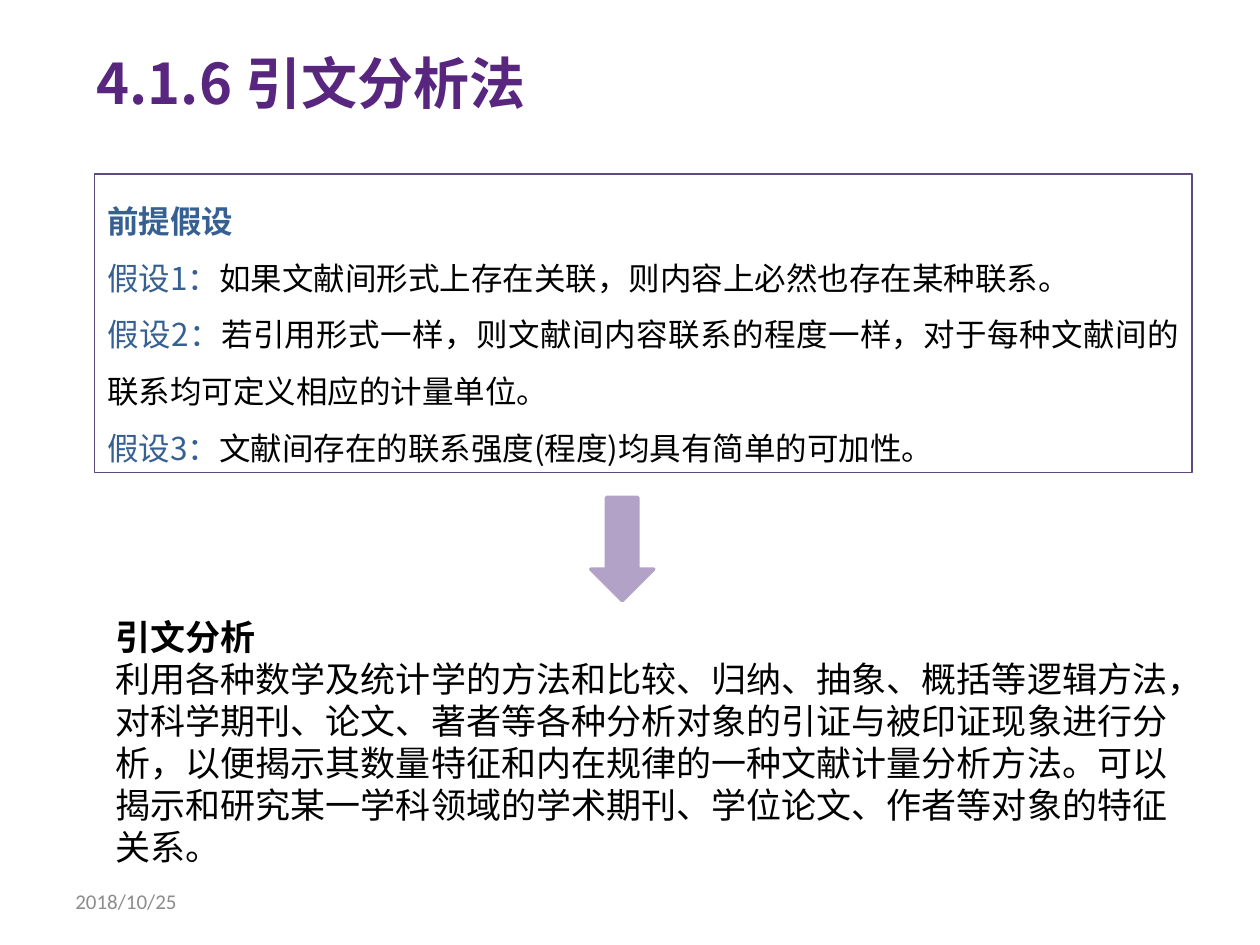
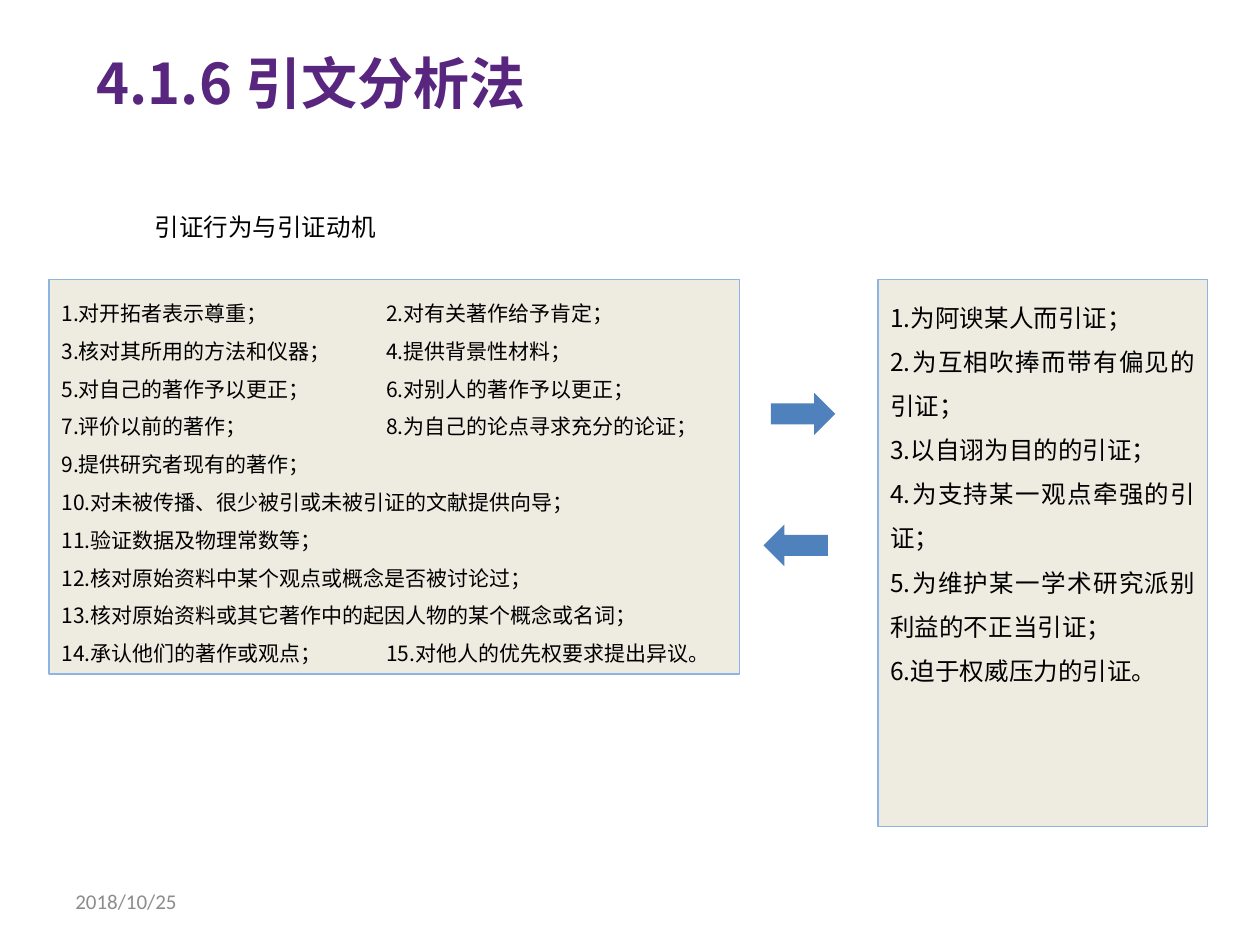
from dataclasses import dataclass

from lxml import etree
from pptx import Presentation
from pptx import util as u
from pptx.dml.color import RGBColor
from pptx.enum import shapes, text
from pptx.oxml import ns


@dataclass(frozen=True)
class Theme:
    """Colours, fonts and type sizes shared by the slides."""

    title: str = "58267E"
    ink: str = "000000"
    label: str = "376092"
    date: str = "8C8C8C"
    frame: str = "604A7B"
    lilac: str = "B3A2C7"
    panel: str = "EEECE1"
    panel_line: str = "8EB4E3"
    arrow: str = "4F81BD"
    font: str = "Noto Sans CJK SC"
    date_font: str = "Calibri"
    title_size: float = 32
    body_size: float = 20
    box_size: float = 18
    panel_size: float = 14
    small_size: float = 12
    single: float = 1.2
    loose: float = 1.8


T = Theme()
SHAPE = shapes.MSO_SHAPE
JUSTIFY = text.PP_ALIGN.JUSTIFY

PREMISES = [
    "如果文献间形式上存在关联，则内容上必然也存在某种联系。",
    "若引用形式一样，则文献间内容联系的程度一样，对于每种文献间的联系均可定义相应的计量单位。",
    "文献间存在的联系强度(程度)均具有简单的可加性。",
]
DEFINITION = (
    "利用各种数学及统计学的方法和比较、归纳、抽象、概括等逻辑方法，"
    "对科学期刊、论文、著者等各种分析对象的引证与被印证现象进行分析，"
    "以便揭示其数量特征和内在规律的一种文献计量分析方法。"
    "可以揭示和研究某一学科领域的学术期刊、学位论文、作者等对象的特征关系。"
)
PROPER_MOTIVES = [
    "1.对开拓者表示尊重；\t2.对有关著作给予肯定；",
    "3.核对其所用的方法和仪器；\t4.提供背景性材料；",
    "5.对自己的著作予以更正；\t6.对别人的著作予以更正；",
    "7.评价以前的著作；\t8.为自己的论点寻求充分的论证；",
    "9.提供研究者现有的著作；",
    "10.对未被传播、很少被引或未被引证的文献提供向导；",
    "11.验证数据及物理常数等；",
    "12.核对原始资料中某个观点或概念是否被讨论过；",
    "13.核对原始资料或其它著作中的起因人物的某个概念或名词；",
    "14.承认他们的著作或观点；\t15.对他人的优先权要求提出异议。",
]
IMPROPER_MOTIVES = [
    "1.为阿谀某人而引证；",
    "2.为互相吹捧而带有偏见的引证；",
    "3.以自诩为目的的引证；",
    "4.为支持某一观点牵强的引证；",
    "5.为维护某一学术研究派别利益的不正当引证；",
    "6.迫于权威压力的引证。",
]


def cm(box):
    """Turn a box of centimetres into lengths."""
    return [u.Cm(v) for v in box]


def add_run(p, words, size, color, bold, font):
    """Add one formatted run, naming the font for Latin and Chinese text."""
    r = p.add_run()
    r.text = words
    r.font.size, r.font.bold, r.font.name = u.Pt(size), bold, font
    r.font.color.rgb = RGBColor.from_string(color)
    ea = etree.SubElement(r.font._element, ns.qn("a:ea"))
    ea.set("typeface", font)


def add_tab(p, pos):
    """Give a paragraph one left tab stop."""
    tabs = etree.SubElement(p._p.get_or_add_pPr(), ns.qn("a:tabLst"))
    etree.SubElement(tabs, ns.qn("a:tab"), pos=str(u.Cm(pos)), algn="l")


def put_text(sp, paras, size=T.body_size, color=T.ink, bold=False, font=T.font,
             leading=T.single, align=None, anchor=text.MSO_ANCHOR.TOP, wrap=True, tab=None):
    """Fill a shape with paragraphs, each a string or a list of (words, format) runs."""
    tf = sp.text_frame
    tf.word_wrap, tf.vertical_anchor = wrap, anchor
    if anchor == text.MSO_ANCHOR.TOP:
        tf.margin_top = u.Pt(3.6 + 0.09 * size)
    for i, para in enumerate(paras):
        p = tf.paragraphs[0] if i == 0 else tf.add_paragraph()
        p.alignment = align or text.PP_ALIGN.LEFT
        p.line_spacing = u.Pt(leading * size)
        if tab:
            add_tab(p, tab)
        for words, fmt in [(para, {})] if isinstance(para, str) else para:
            add_run(p, words, **{"size": size, "color": color, "bold": bold, "font": font, **fmt})


def add_text(slide, box, paras, **fmt):
    """Add a text box."""
    put_text(slide.shapes.add_textbox(*cm(box)), paras, **fmt)


def add_block(slide, kind, box, fill=None, line=None, width=0.75):
    """Add a flat preset shape."""
    sp = slide.shapes.add_shape(kind, *cm(box))
    sp.shadow.inherit = False
    if fill:
        sp.fill.solid()
        sp.fill.fore_color.rgb = RGBColor.from_string(fill)
    else:
        sp.fill.background()
    if line:
        sp.line.color.rgb = RGBColor.from_string(line)
        sp.line.width = u.Pt(width)
    else:
        sp.line.fill.background()
    return sp


def add_base(prs):
    """Add a blank slide with the shared date and title."""
    slide = prs.slides.add_slide(prs.slide_layouts[6])
    add_text(slide, (1.27, 17.65, 5.92, 1.02), ["2018/10/25"], size=T.small_size,
             color=T.date, font=T.date_font, anchor=text.MSO_ANCHOR.MIDDLE)
    add_text(slide, (1.7, 0.74, 22.86, 1.57), ["4.1.6 引文分析法"],
             size=T.title_size, color=T.title, bold=True)
    return slide


def add_premises(slide, box):
    """Add the framed list of numbered premises."""
    paras = [[("前提假设", {"color": T.label, "bold": True})]]
    paras += [[(f"假设{n}：", {"color": T.label}), (words, {})]
              for n, words in enumerate(PREMISES, 1)]
    sp = add_block(slide, SHAPE.RECTANGLE, box, line=T.frame)
    put_text(sp, paras, size=T.box_size, leading=T.loose, align=JUSTIFY)


def add_motives(slide, box, motives, **fmt):
    """Add a tinted panel listing motives."""
    sp = add_block(slide, SHAPE.RECTANGLE, box, fill=T.panel, line=T.panel_line)
    put_text(sp, motives, leading=T.loose, align=JUSTIFY, **fmt)


def add_exchange(slide, box):
    """Add the arrows to and fro between the two panels."""
    x, y, w, h = box
    add_block(slide, SHAPE.RIGHT_ARROW, (x + 0.15, y, w, h), fill=T.arrow)
    add_block(slide, SHAPE.LEFT_ARROW, (x, y + 2.65, w, h), fill=T.arrow)


def premise_slide(prs):
    """Build the slide leading from premises to definition."""
    slide = add_base(prs)
    add_text(slide, (2.08, 12.22, 22.25, 6.25),
             [[("引文分析", {"bold": True})], DEFINITION])
    add_premises(slide, (1.91, 3.51, 22.12, 6.02))
    add_block(slide, SHAPE.DOWN_ARROW, (11.91, 10.03, 1.27, 2.08),
              fill=T.lilac, line=T.lilac, width=2)


def motive_slide(prs):
    """Build the slide comparing citation motives."""
    slide = add_base(prs)
    add_text(slide, (2.87, 4.11, 5.08, 0.86), ["引证行为与引证动机"],
             size=T.panel_size, wrap=False)
    top = 5.64
    add_motives(slide, (0.99, top, 13.92, 7.95), PROPER_MOTIVES, size=T.small_size, tab=6.55)
    add_motives(slide, (17.7, top, 6.65, 11.02), IMPROPER_MOTIVES, size=T.panel_size)
    add_exchange(slide, (15.39, 7.92, 1.3, 0.85))


def main():
    """Build and save the presentation."""
    prs = Presentation()
    prs.slide_width, prs.slide_height = u.Cm(25.4), u.Cm(19.05)
    premise_slide(prs)
    motive_slide(prs)
    prs.save("out.pptx")


if __name__ == "__main__":
    main()
